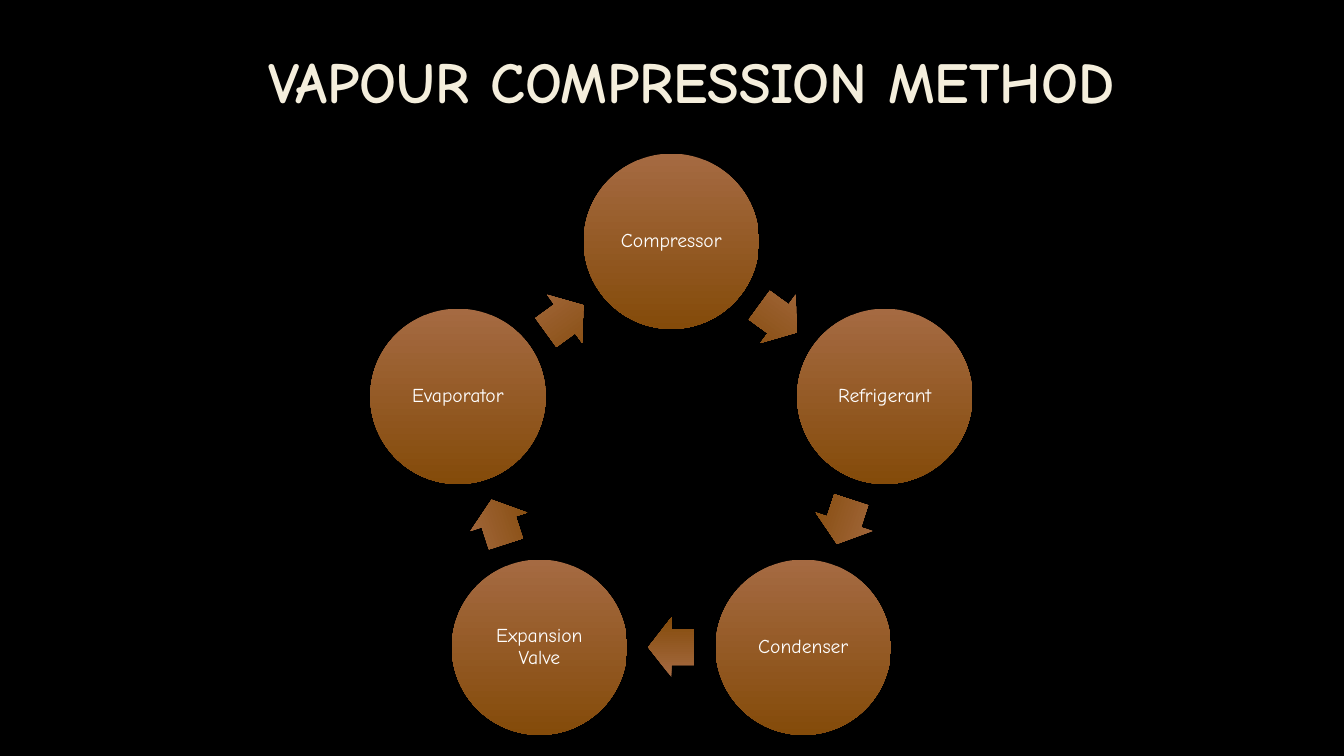
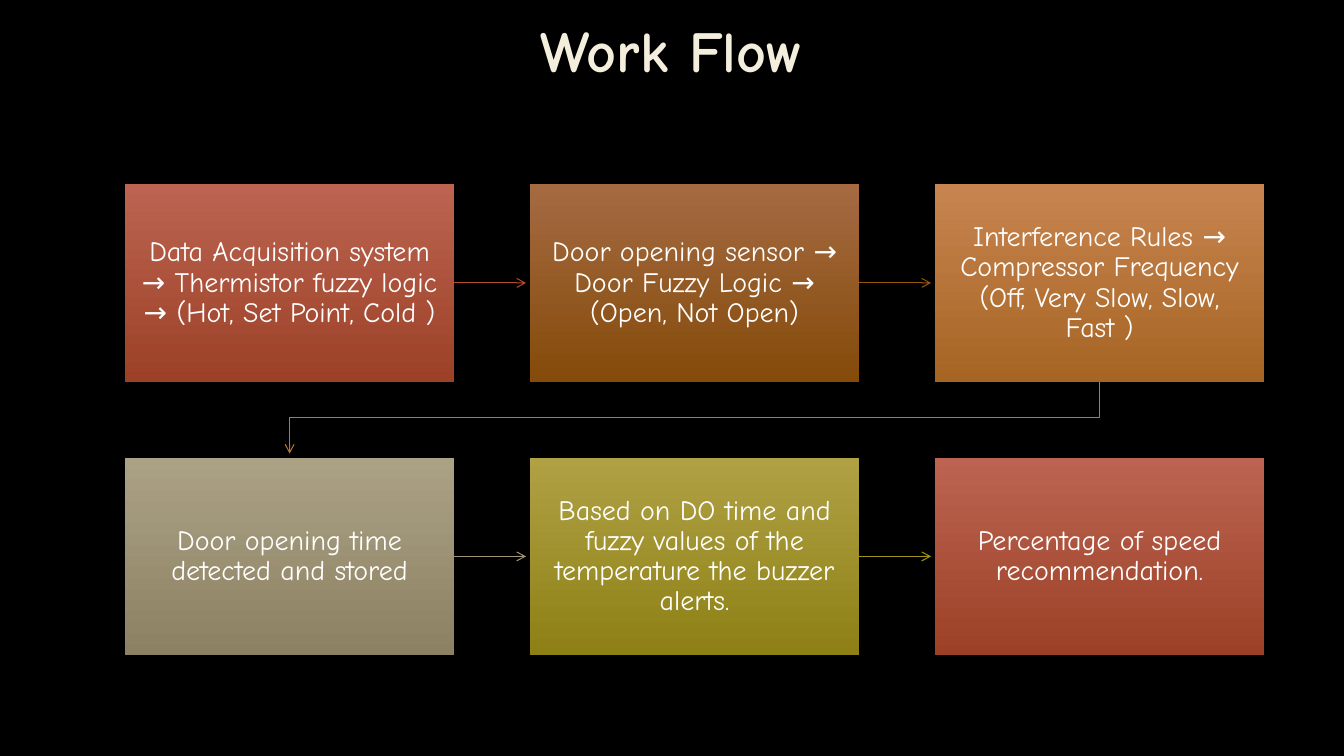
import math

import lxml.etree
import pptx
import pptx.dml.color
import pptx.enum.shapes
import pptx.enum.text
import pptx.oxml.ns
import pptx.util

Cm = pptx.util.Cm
SHAPE = pptx.enum.shapes.MSO_SHAPE
CONNECTOR = pptx.enum.shapes.MSO_CONNECTOR
qn = pptx.oxml.ns.qn

FONT = "Comic Neue"
COLOURS = {"background": "000000", "title": "F4EEDC", "text": "FFFFFF"}
# Each theme: gradient top, gradient bottom, outgoing arrow
THEMES = {
    "red": ("BC6451", "9C4127", "B54C2D"),
    "brown": ("A56A42", "844B0A", "99570C"),
    "orange": ("C78450", "A66523", "C17529"),
    "stone": ("ABA185", "8C8162", "A19574"),
    "olive": ("B0A144", "8D8015", "A49518"),
}

CYCLE_STAGES = ["Compressor", "Refrigerant", "Condenser", "Expansion Valve", "Evaporator"]
FLOW_STEPS = [
    ("Data Acquisition system → Thermistor fuzzy logic → (Hot, Set Point, Cold )", "red"),
    ("Door opening sensor → Door Fuzzy Logic → (Open, Not Open)", "brown"),
    ("Interference Rules → Compressor Frequency (Off, Very Slow, Slow, Fast )", "orange"),
    ("Door opening time detected and stored", "stone"),
    ("Based on DO time and fuzzy values of the temperature the buzzer alerts.", "olive"),
    ("Percentage of speed recommendation.", "red"),
]


def rgb(value):
    return pptx.dml.color.RGBColor.from_string(value)


def write_text(shape, text, size, colour, bold=False, inset=None):
    """Centre one paragraph in the shape."""
    frame = shape.text_frame
    frame.word_wrap = True
    frame.auto_size = pptx.enum.text.MSO_AUTO_SIZE.NONE
    frame.vertical_anchor = pptx.enum.text.MSO_ANCHOR.MIDDLE
    if inset is not None:
        frame.margin_left = frame.margin_right = Cm(inset)
        frame.margin_top = frame.margin_bottom = Cm(inset)
    para = frame.paragraphs[0]
    para.alignment = pptx.enum.text.PP_ALIGN.CENTER
    para.line_spacing = 0.9
    span = para.add_run()
    span.text = text
    span.font.name = FONT
    span.font.size = pptx.util.Pt(size)
    span.font.bold = bold
    span.font.color.rgb = rgb(COLOURS[colour])


def add_page(deck, title, left, top):
    """Add a title-only page with the shared title style."""
    page = deck.slides.add_slide(deck.slide_layouts.get_by_name("Title Only"))
    box = page.shapes.title
    box.left, box.top, box.width, box.height = Cm(left), Cm(top), Cm(28.75), Cm(1.98)
    write_text(box, title, 41.4, "title", bold=True)
    return page


def add_gradient_shape(page, kind, centre, size, theme):
    """Add a borderless shape, shaded from top to bottom, around a centre."""
    (x, y), (width, height) = centre, size
    shape = page.shapes.add_shape(
        kind, Cm(x - width / 2), Cm(y - height / 2), Cm(width), Cm(height))
    shape.shadow.inherit = False
    shape.line.fill.background()
    shape.fill.gradient()
    shape.fill.gradient_angle = 270
    for stop, colour in zip(shape.fill.gradient_stops, THEMES[theme]):
        stop.color.rgb = rgb(colour)
    return shape


def add_arrow(page, kind, start, end, theme):
    """Add a thin connector with an open head at its end."""
    arrow = page.shapes.add_connector(kind, *(Cm(value) for value in (*start, *end)))
    arrow.line.color.rgb = rgb(THEMES[theme][2])
    arrow.line.width = pptx.util.Pt(0.75)
    lxml.etree.SubElement(arrow.line._get_or_add_ln(), qn("a:tailEnd"), type="arrow")
    lxml.etree.SubElement(arrow._element.spPr, qn("a:effectLst"))
    return arrow


def add_drop_arrow(page, start, end, theme):
    """Add an elbow that runs down, left and down: a quarter-turned connector."""
    middle_x, middle_y = (start[0] + end[0]) / 2, (start[1] + end[1]) / 2
    half_drop, half_run = (end[1] - start[1]) / 2, (start[0] - end[0]) / 2
    arrow = add_arrow(page, CONNECTOR.ELBOW,
                      (middle_x - half_drop, middle_y - half_run),
                      (middle_x + half_drop, middle_y + half_run), theme)
    arrow._element.spPr.find(qn("a:xfrm")).set("rot", str(90 * 60000))


def draw_cycle(page, box, stages):
    """Place stages clockwise on a ring, from the top of the box."""
    left, top, width, height = box
    diameter = 4.42
    step = 360 / len(stages)
    # The lowest circles touch the bottom edge of the box
    radius = (height - diameter) / (1 + math.cos(math.radians(step / 2)))
    middle_x, middle_y = left + width / 2, top + diameter / 2 + radius

    def ring_point(angle, distance):
        turn = math.radians(angle)
        return middle_x + distance * math.sin(turn), middle_y - distance * math.cos(turn)

    for index, stage in enumerate(stages):
        circle = add_gradient_shape(
            page, SHAPE.OVAL, ring_point(index * step, radius), (diameter, diameter), "brown")
        write_text(circle, stage, 14, "text", inset=0.05)
        # Arrow halfway to the next circle
        angle = (index + 0.5) * step
        chord_distance = radius * math.cos(math.radians(step / 2))
        arrow = add_gradient_shape(
            page, SHAPE.RIGHT_ARROW, ring_point(angle, chord_distance), (1.17, 1.5), "brown")
        arrow.adjustments[0] = 0.6
        arrow.rotation = angle


def draw_flow(page, box, steps, columns=3):
    """Place steps row by row in the box and link each to the next."""
    left, top, width, height = box
    gap, head_gap = 1.91, 0.1
    rows = math.ceil(len(steps) / columns)
    step_width = (width - gap * (columns - 1)) / columns
    step_height = (height - gap * (rows - 1)) / rows
    centres = [
        (left + step_width / 2 + index % columns * (step_width + gap),
         top + step_height / 2 + index // columns * (step_height + gap))
        for index in range(len(steps))
    ]
    for centre, (text, theme) in zip(centres, steps):
        panel = add_gradient_shape(
            page, SHAPE.RECTANGLE, centre, (step_width, step_height), theme)
        write_text(panel, text, 20, "text", inset=0.41)
    # Links between neighbours
    for (x, y), (next_x, next_y), (_, theme) in zip(centres, centres[1:], steps):
        if y == next_y:
            add_arrow(page, CONNECTOR.STRAIGHT, (x + step_width / 2, y),
                      (next_x - step_width / 2 - head_gap, next_y), theme)
        else:
            add_drop_arrow(page, (x, y + step_height / 2),
                           (next_x, next_y - step_height / 2 - head_gap), theme)


def main():
    deck = pptx.Presentation()
    deck.slide_width, deck.slide_height = Cm(33.87), Cm(19.05)
    backdrop = deck.slide_master.background.fill
    backdrop.solid()
    backdrop.fore_color.rgb = rgb(COLOURS["background"])

    cycle_page = add_page(deck, "VAPOUR COMPRESSION METHOD", 3.05, 1.14)
    draw_cycle(cycle_page, (9.32, 3.87, 15.2, 14.65), CYCLE_STAGES)

    flow_page = add_page(deck, "Work Flow", 2.54, 0.36)
    draw_flow(flow_page, (3.15, 4.64, 28.71, 11.87), FLOW_STEPS)

    deck.save("out.pptx")


if __name__ == "__main__":
    main()
